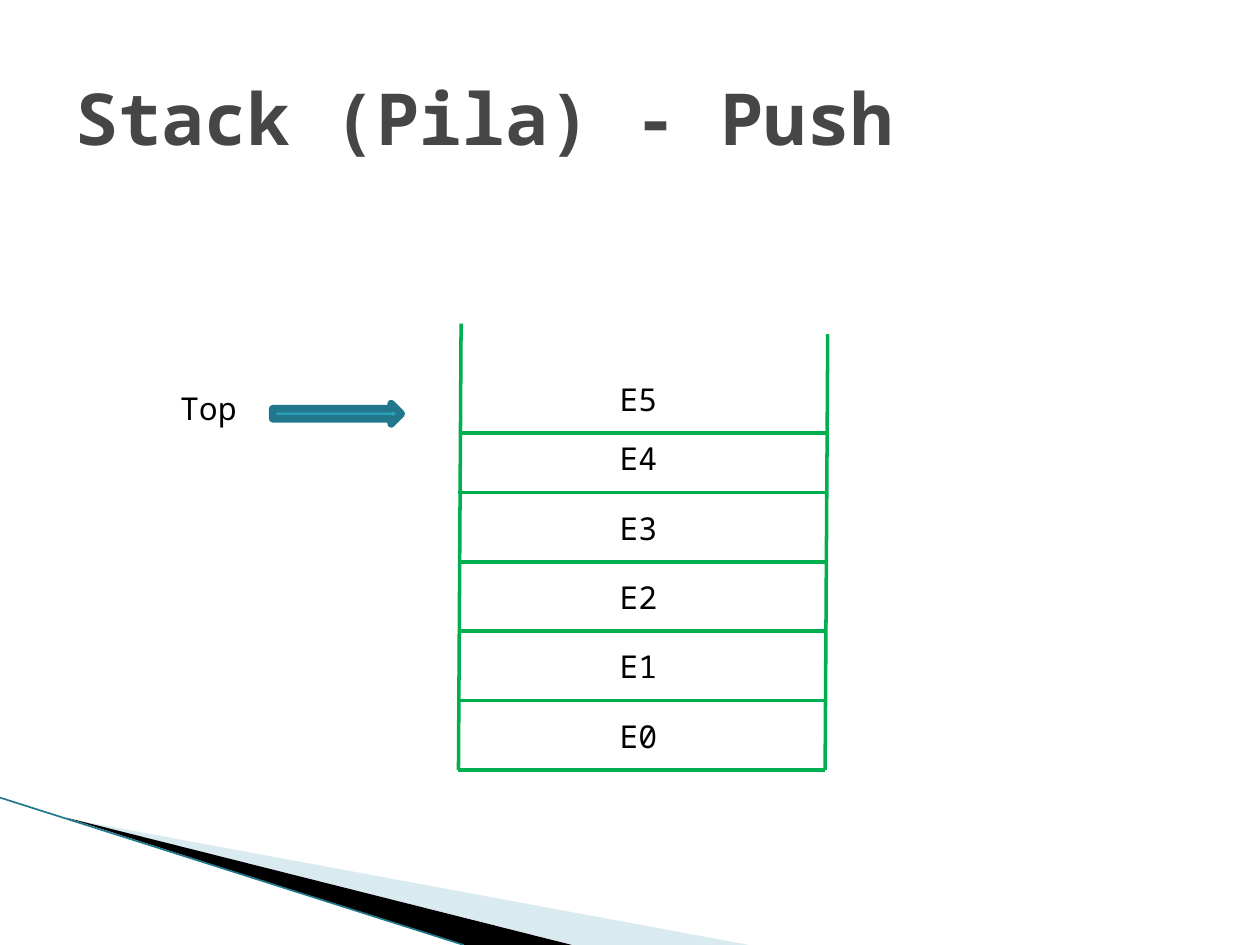
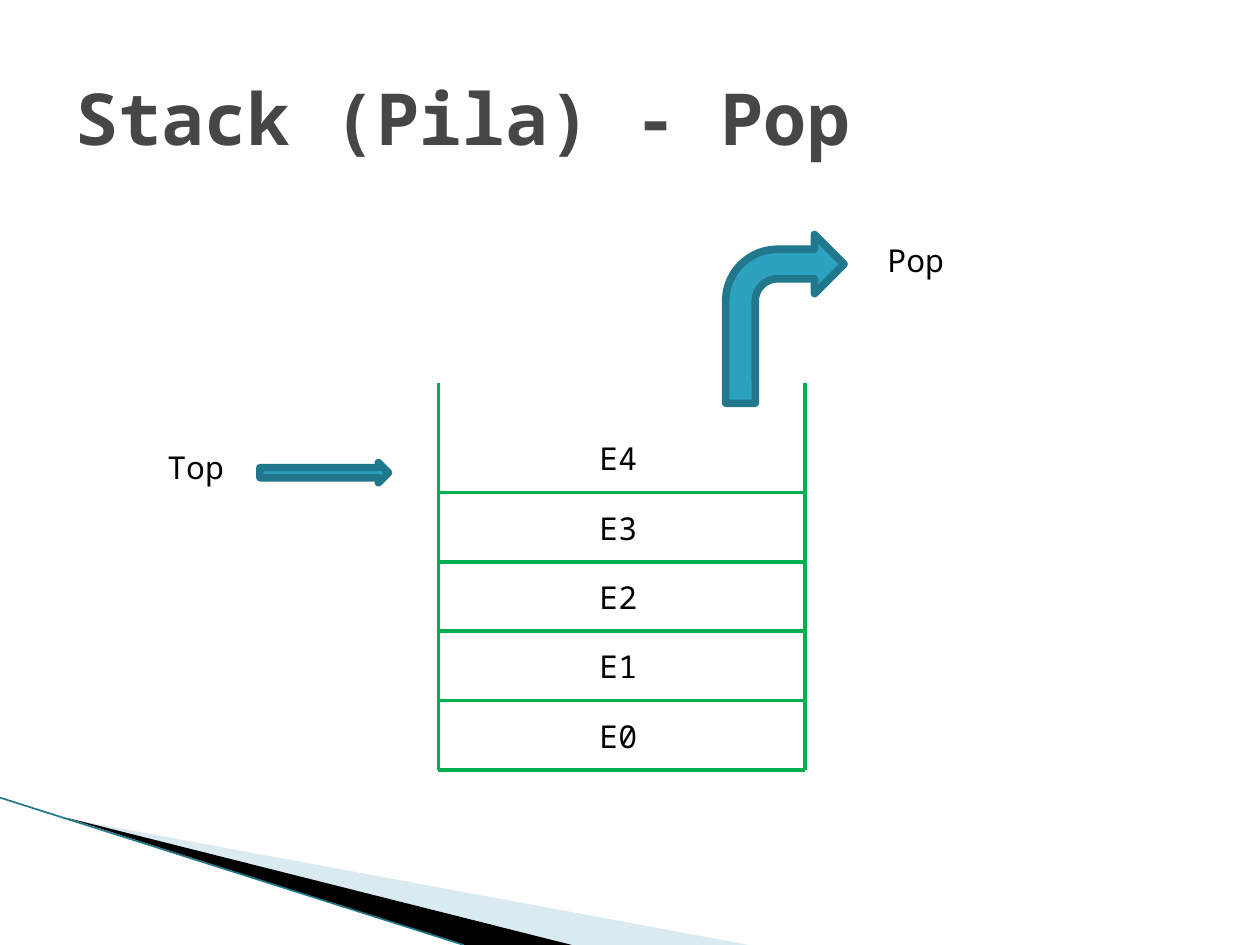
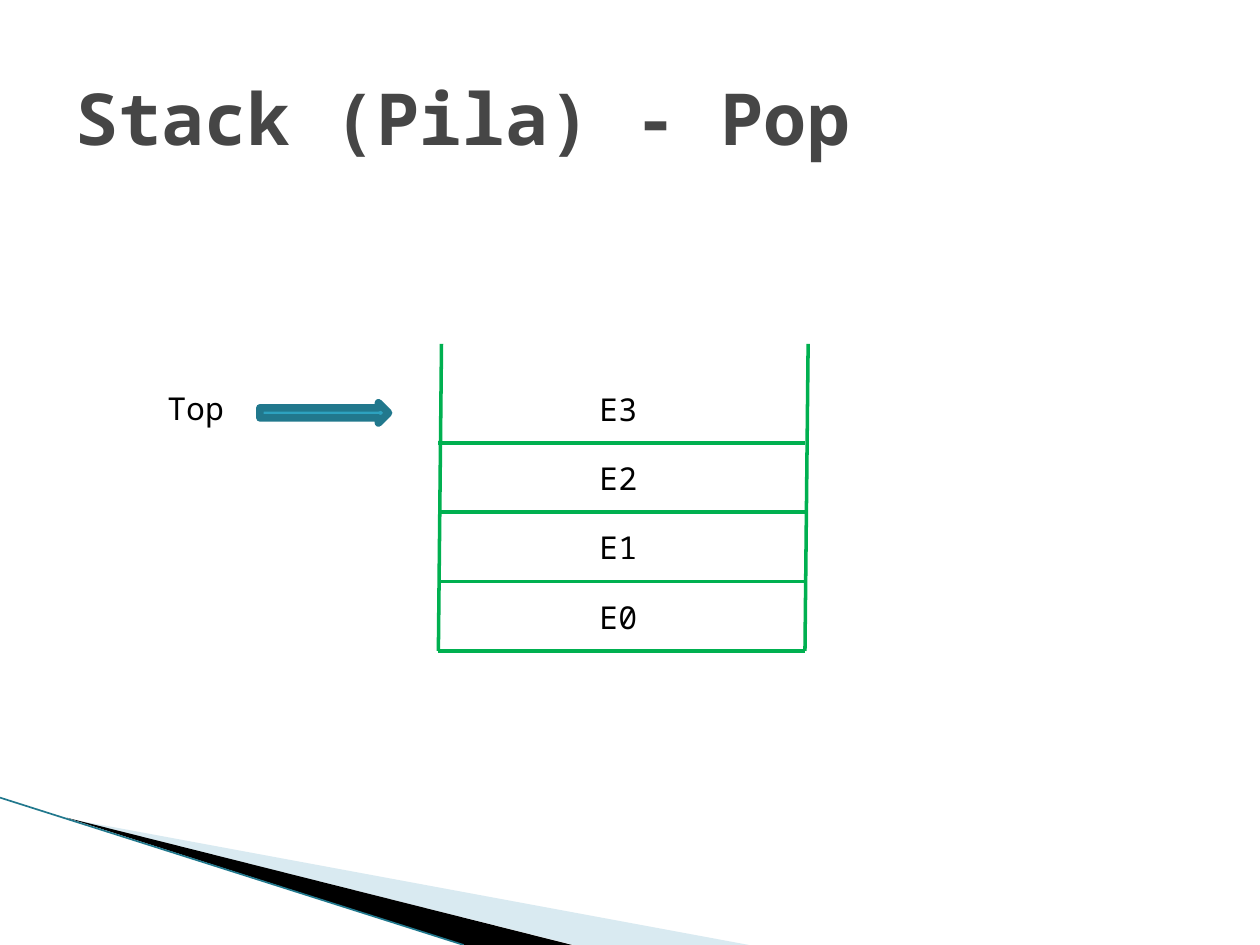
import pptx
import pptx.dml.color
import pptx.enum.shapes
import pptx.enum.text
import pptx.oxml
import pptx.oxml.ns
import pptx.util

Pt = pptx.util.Pt
RGBColor = pptx.dml.color.RGBColor
SHAPE = pptx.enum.shapes.MSO_SHAPE

FONT = "Noto Sans Mono"
GREY = RGBColor(0x46, 0x46, 0x46)
BLACK = RGBColor(0, 0, 0)
GREEN = RGBColor(0, 0xB0, 0x50)
TEAL = RGBColor(0x2D, 0xA2, 0xBF)
DARK = RGBColor(0x21, 0x78, 0x8D)
PALE = RGBColor(0xA0, 0xCB, 0xDC)

WIDE = 209.5    # stack width
STEP = 39.65    # height of one level


def add_line(slide, start, end, color, weight):
    line = slide.shapes.add_connector(
        pptx.enum.shapes.MSO_CONNECTOR.STRAIGHT,
        *[Pt(value) for value in (*start, *end)])
    line.line.color.rgb = color
    line.line.width = Pt(weight)
    props = line._element.spPr
    props.append(pptx.oxml.parse_xml(
        "<a:effectLst %s/>" % pptx.oxml.ns.nsdecls("a")))


def add_wedge(slide, points, color, alpha=100):
    """Fill an outline; alpha is its opacity in percent."""
    first, *rest = [(Pt(x), Pt(y)) for x, y in points]
    pen = slide.shapes.build_freeform(*first)
    pen.add_line_segments(rest, close=True)
    wedge = pen.convert_to_shape()
    wedge.shadow.inherit = False
    wedge.line.fill.background()
    wedge.fill.solid()
    wedge.fill.fore_color.rgb = color
    if alpha < 100:
        tone = wedge._element.spPr.find(".//" + pptx.oxml.ns.qn("a:srgbClr"))
        tone.append(pptx.oxml.parse_xml('<a:alpha %s val="%d"/>' % (
            pptx.oxml.ns.nsdecls("a"), alpha * 1000)))


def add_text(slide, text, left, top, width, height, size=18, color=BLACK):
    box = slide.shapes.add_textbox(Pt(left), Pt(top), Pt(width), Pt(height))
    para = box.text_frame.paragraphs[0]
    para.text = text
    para.font.name = FONT
    para.font.size = Pt(size)
    para.font.color.rgb = color
    return box.text_frame


def add_label(slide, text, left, top, width):
    frame = add_text(slide, text, left, top, width, 29)
    frame.word_wrap = False
    frame.auto_size = pptx.enum.text.MSO_AUTO_SIZE.SHAPE_TO_FIT_TEXT


def add_arrow(slide, kind, left, top, width, height):
    arrow = slide.shapes.add_shape(
        kind, Pt(left), Pt(top), Pt(width), Pt(height))
    arrow.shadow.inherit = False
    arrow.fill.solid()
    arrow.fill.fore_color.rgb = TEAL
    arrow.line.color.rgb = DARK
    arrow.line.width = Pt(4.33)


def add_top(slide, left, top):
    """Mark the top of the stack with a word and an arrow."""
    add_label(slide, "Top", left, top, 49)
    add_arrow(slide, SHAPE.RIGHT_ARROW, left + 60, top + 11.7, 73.5, 11.5)


def add_level(slide, index, left, floor, shift=0):
    start = left + shift
    add_line(slide, (start, floor), (start + WIDE, floor), GREEN, 2)
    add_label(slide, f"E{index}", left + 85, floor - 34, 36)


def add_stack(slide, count, left, base, tops, lean=0):
    """Draw two walls, which reach up to tops, and the levels between."""
    for foot, top in zip((left, left + WIDE), tops):
        add_line(slide, (foot + lean, top), (foot, base), GREEN, 2)
    for index in range(count):
        add_level(slide, index, left, base - index * STEP)


def add_page(deck, title):
    slide = deck.slides.add_slide(deck.slide_layouts[6])
    add_wedge(slide, [(39.6, 468), (428, 540), (328, 540)], PALE, 40)
    add_wedge(slide, [(38.2, 467.3), (327, 540), (265, 540)], BLACK)
    add_line(slide, (0, 455.8), (265, 540), DARK, 0.95)
    frame = add_text(slide, title, 36, 21.6, 648, 90, 41, GREY)
    frame.word_wrap = True
    frame.vertical_anchor = pptx.enum.text.MSO_ANCHOR.MIDDLE
    frame.paragraphs[0].font.bold = True
    return slide


def main():
    deck = pptx.Presentation()
    deck.slide_width, deck.slide_height = Pt(720), Pt(540)

    push = add_page(deck, "Stack (Pila) - Push")
    add_stack(push, 5, 262, 440, (185, 191), 1.5)
    add_level(push, 5, 262, 247.5, 1.5)
    add_top(push, 95.8, 219)

    pop = add_page(deck, "Stack (Pila) - Pop")
    add_stack(pop, 5, 250.5, 440, (219, 219))
    add_top(pop, 88.5, 252.7)
    add_arrow(pop, SHAPE.BENT_ARROW, 414.7, 134, 67.7, 96.5)
    add_label(pop, "Pop", 500, 134, 47.5)

    after = add_page(deck, "Stack (Pila) - Pop")
    add_stack(after, 4, 250.5, 372, (196.5, 196.5), 1.8)
    add_top(after, 88.5, 218.5)

    deck.save("out.pptx")


if __name__ == "__main__":
    main()
